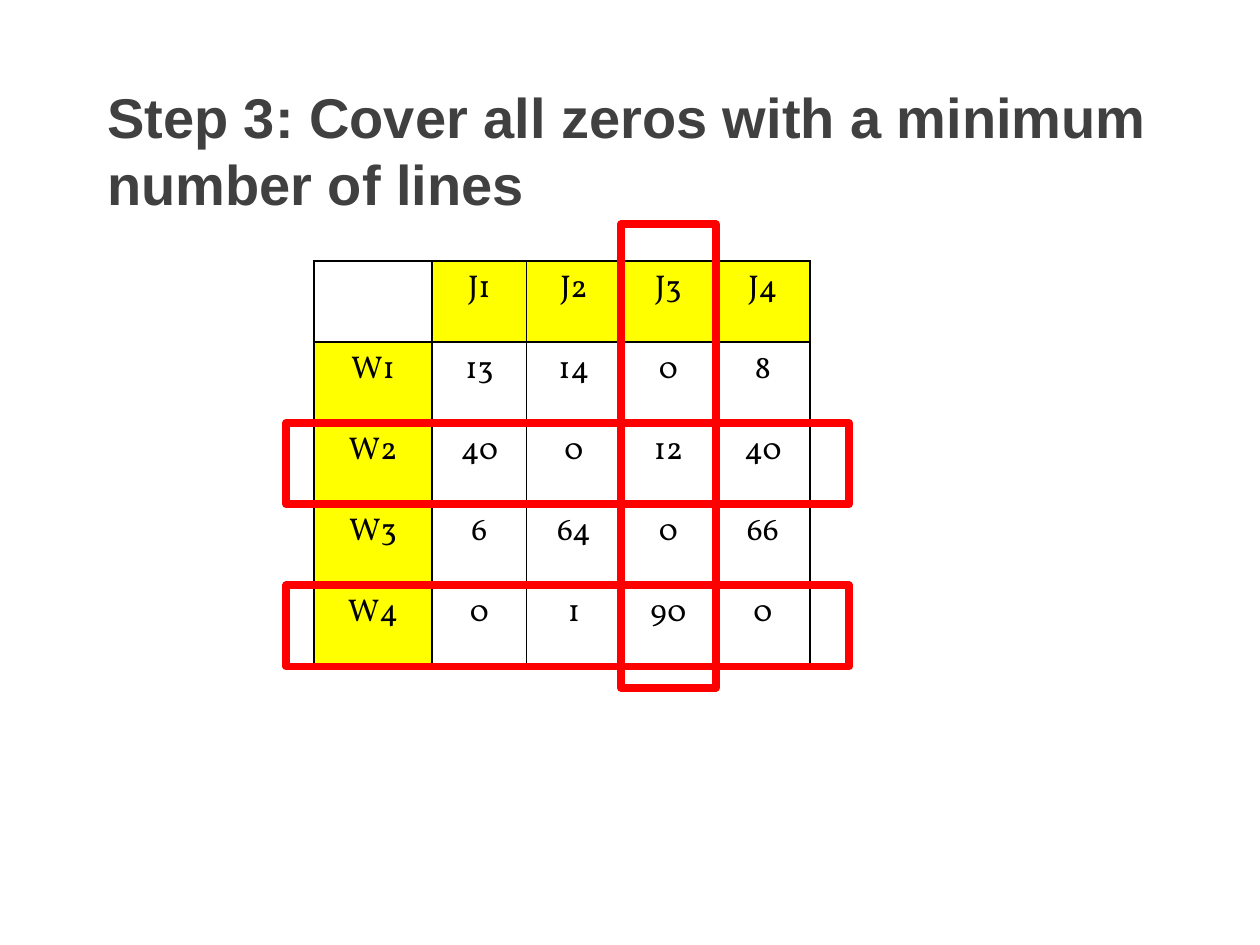
"""Build the slide on covering all zeros of an assignment matrix with lines."""
import lxml.etree
import pptx
import pptx.dml.color
import pptx.enum.shapes
import pptx.enum.text
import pptx.oxml
import pptx.oxml.ns
import pptx.util

THEME = {
    "title": "404040", "text": "000000", "header": "FFFF00", "cover": "FF0000",
    "title_font": "Arial", "table_font": "Vollkorn",
    "title_size": 32, "table_size": 18, "cover_width": 4.5, "border_width": 1,
}
Inches = pptx.util.Inches
color = pptx.dml.color.RGBColor.from_string


def write(frame, text, *, font, size, tint, bold=False, align=None):
    para = frame.paragraphs[0]
    para.alignment = align
    span = para.add_run()
    span.text = text
    span.font.name = font
    span.font.size = pptx.util.Pt(size)
    span.font.color.rgb = color(tint)
    span.font.bold = bold


def add_borders(cell, tint, width):
    properties = cell._tc.get_or_add_tcPr()
    for side in ("lnL", "lnR", "lnT", "lnB"):
        line = lxml.etree.SubElement(properties, pptx.oxml.ns.qn(f"a:{side}"), w=str(pptx.util.Pt(width)))
        fill = lxml.etree.SubElement(line, pptx.oxml.ns.qn("a:solidFill"))
        lxml.etree.SubElement(fill, pptx.oxml.ns.qn("a:srgbClr"), val=tint)


deck = pptx.Presentation()
deck.slide_width, deck.slide_height = Inches(10), Inches(7.5)
page = deck.slides.add_slide(deck.slide_layouts[5])

title = page.shapes.title
title.left, title.top, title.width, title.height = map(Inches, (0.75, 0.62, 8.48, 1.15))
title.text_frame.word_wrap = True
title.text_frame.auto_size = pptx.enum.text.MSO_AUTO_SIZE.NONE
title.text_frame.vertical_anchor = pptx.enum.text.MSO_ANCHOR.BOTTOM
write(title.text_frame, "Step 3: Cover all zeros with a minimum number of lines",
      font=THEME["title_font"], size=THEME["title_size"], tint=THEME["title"],
      bold=True, align=pptx.enum.text.PP_ALIGN.LEFT)

costs = [
    ["", "J1", "J2", "J3", "J4"],
    ["W1", "13", "14", "0", "8"],
    ["W2", "40", "0", "12", "40"],
    ["W3", "6", "64", "0", "66"],
    ["W4", "0", "1", "90", "0"],
]
left, top, row_height = 2.49, 2.07, 3.22 / len(costs)
widths = [0.94] + [0.75] * 4
table_width, table_height = sum(widths), row_height * len(costs)
matrix = page.shapes.add_table(len(costs), len(widths), Inches(left), Inches(top),
                               Inches(table_width), Inches(table_height)).table
for column, width in zip(matrix.columns, widths):
    column.width = Inches(width)
for row_index, row in enumerate(costs):
    matrix.rows[row_index].height = Inches(row_height)
    for column_index, value in enumerate(row):
        cell = matrix.cell(row_index, column_index)
        add_borders(cell, THEME["text"], THEME["border_width"])
        if value and (row_index == 0 or column_index == 0):
            cell.fill.solid()
            cell.fill.fore_color.rgb = color(THEME["header"])
        else:
            cell.fill.background()
        if value:
            write(cell.text_frame, value, font=THEME["table_font"], size=THEME["table_size"],
                  tint=THEME["text"], align=pptx.enum.text.PP_ALIGN.CENTER)

row_overhang, column_overhang = 0.22, 0.29
covers = [(left - row_overhang, top + row * row_height, 4.47, row_height) for row in (2, 4)]
covers.append((left + sum(widths[:3]), top - column_overhang, widths[3], 3.68))
for bounds in covers:
    box = page.shapes.add_shape(pptx.enum.shapes.MSO_SHAPE.RECTANGLE, *map(Inches, bounds))
    box.shadow.inherit = False
    box.fill.background()
    box.line.color.rgb = color(THEME["cover"])
    box.line.width = pptx.util.Pt(THEME["cover_width"])

deck.save("out.pptx")
